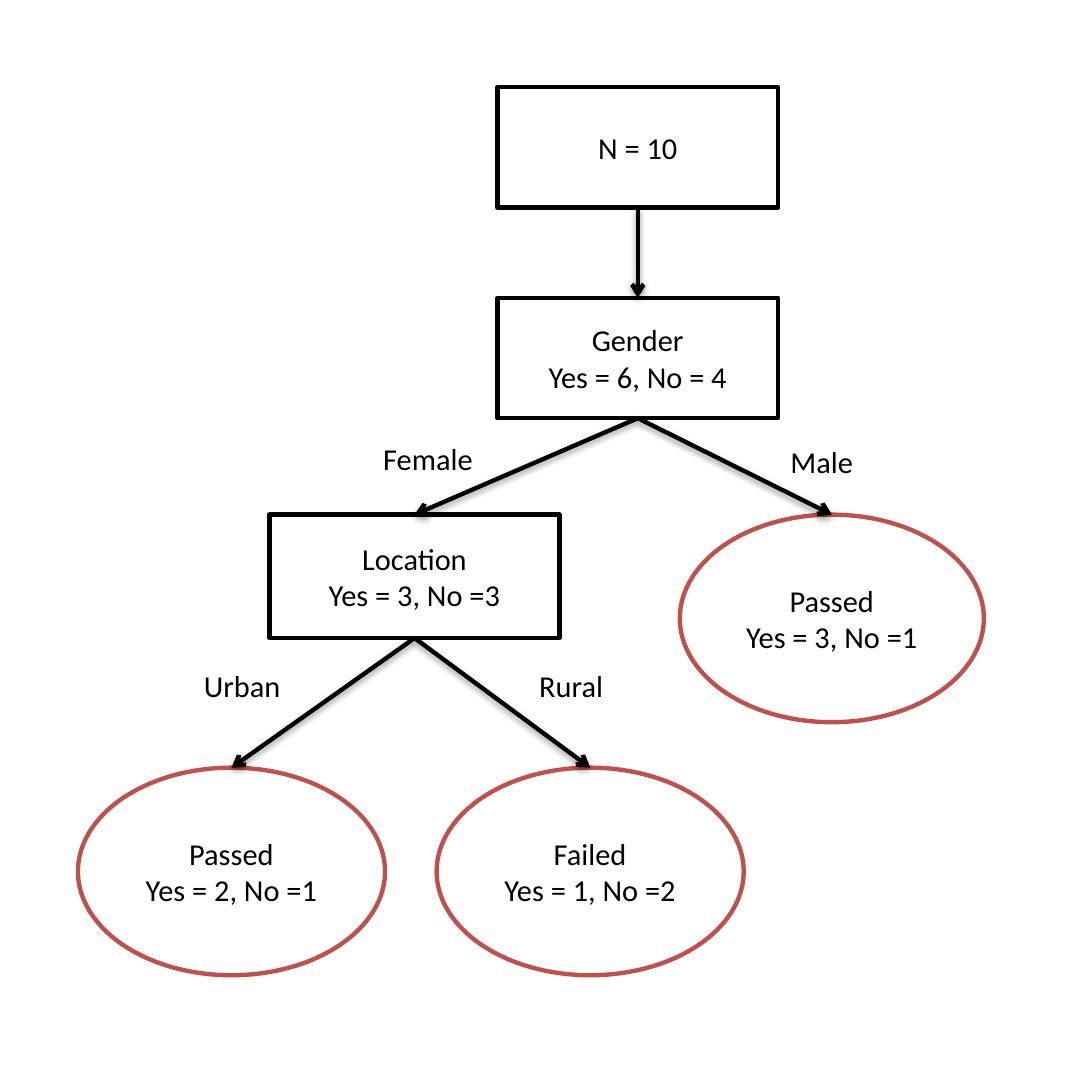
import lxml.etree
import pptx
import pptx.dml.color
import pptx.enum.shapes
import pptx.enum.text
import pptx.oxml.ns
import pptx.util

Cm, Pt = pptx.util.Cm, pptx.util.Pt
SHAPES = pptx.enum.shapes.MSO_SHAPE
COLOURS = {"ink": "000000", "paper": "FFFFFF", "leaf": "C0504D"}
TOP, BOTTOM = 0, 2  # connection sites

# Kind: preset shape, line colour
KINDS = {"split": (SHAPES.RECTANGLE, "ink"), "leaf": (SHAPES.OVAL, "leaf")}

# Name: kind, text, left, top, width, height (cm within the tree)
NODES = {
    "root": ("split", "N = 10", 6.83, 0, 4.57, 1.96),
    "gender": ("split", "Gender\nYes = 6, No = 4", 6.83, 3.43, 4.57, 1.96),
    "location": ("split", "Location\nYes = 3, No =3", 3.12, 6.96, 4.72, 2.01),
    "male": ("leaf", "Passed\nYes = 3, No =1", 9.8, 6.96, 4.95, 3.38),
    "urban": ("leaf", "Passed\nYes = 2, No =1", 0, 11.08, 5, 3.38),
    "rural": ("leaf", "Failed\nYes = 1, No =2", 5.84, 11.08, 5, 3.38),
}
BRANCHES = [
    ("root", "gender"),
    ("gender", "location"),
    ("gender", "male"),
    ("location", "urban"),
    ("location", "rural"),
]
# Text, left, top, width (cm within the tree)
LABELS = [
    ("Female", 4.72, 5.62, 2.31),
    ("Male", 11.35, 5.67, 1.75),
    ("Urban", 1.8, 9.32, 2.03),
    ("Rural", 7.26, 9.32, 1.8),
]


def colour(name):
    return pptx.dml.color.RGBColor.from_string(COLOURS[name])


def write(shape, text, align):
    shape.text_frame.text = text
    for para in shape.text_frame.paragraphs:
        para.alignment = align
        for span in para.runs:
            span.font.name = "Calibri"
            span.font.size = Pt(14)
            span.font.color.rgb = colour("ink")


def add_node(page, kind, text, left, top, width, height):
    preset, outline = KINDS[kind]
    node = page.shapes.add_shape(preset, Cm(left), Cm(top), Cm(width), Cm(height))
    node.shadow.inherit = False
    node.fill.solid()
    node.fill.fore_color.rgb = colour("paper")
    node.line.color.rgb = colour(outline)
    node.line.width = Pt(2)
    node.text_frame.word_wrap = True
    node.text_frame.vertical_anchor = pptx.enum.text.MSO_ANCHOR.MIDDLE
    write(node, text, pptx.enum.text.PP_ALIGN.CENTER)
    return node


def add_branch(page, parent, child):
    branch = page.shapes.add_connector(
        pptx.enum.shapes.MSO_CONNECTOR.STRAIGHT, 0, 0, 0, 0)
    branch.begin_connect(parent, BOTTOM)
    branch.end_connect(child, TOP)
    branch.line.color.rgb = colour("ink")
    branch.line.width = Pt(2)

    # Arrowhead and soft shadow
    qn = pptx.oxml.ns.qn
    properties = branch.element.spPr
    lxml.etree.SubElement(properties.find(qn("a:ln")), qn("a:tailEnd"), type="arrow")
    effects = lxml.etree.SubElement(properties, qn("a:effectLst"))
    shadow = lxml.etree.SubElement(
        effects, qn("a:outerShdw"), blurRad=str(Pt(3.1)), dist=str(Pt(1.6)),
        dir="5400000", rotWithShape="0")
    tint = lxml.etree.SubElement(shadow, qn("a:srgbClr"), val=COLOURS["ink"])
    lxml.etree.SubElement(tint, qn("a:alpha"), val="38000")


def add_label(page, text, left, top, width):
    label = page.shapes.add_textbox(Cm(left), Cm(top), Cm(width), Cm(0.99))
    label.text_frame.word_wrap = False
    label.text_frame.auto_size = pptx.enum.text.MSO_AUTO_SIZE.SHAPE_TO_FIT_TEXT
    write(label, text, pptx.enum.text.PP_ALIGN.LEFT)


def add_decision_tree(page, left, top):
    # Nodes
    nodes = {
        name: add_node(page, kind, text, left + x, top + y, width, height)
        for name, (kind, text, x, y, width, height) in NODES.items()
    }
    # Branches
    for parent, child in BRANCHES:
        add_branch(page, nodes[parent], nodes[child])
    # Branch labels
    for text, x, y, width in LABELS:
        add_label(page, text, left + x, top + y, width)


def main():
    deck = pptx.Presentation()
    deck.slide_width = deck.slide_height = Cm(17.78)
    page = deck.slides.add_slide(deck.slide_layouts[6])
    add_decision_tree(page, left=1.27, top=1.42)
    deck.save("out.pptx")


if __name__ == "__main__":
    main()
